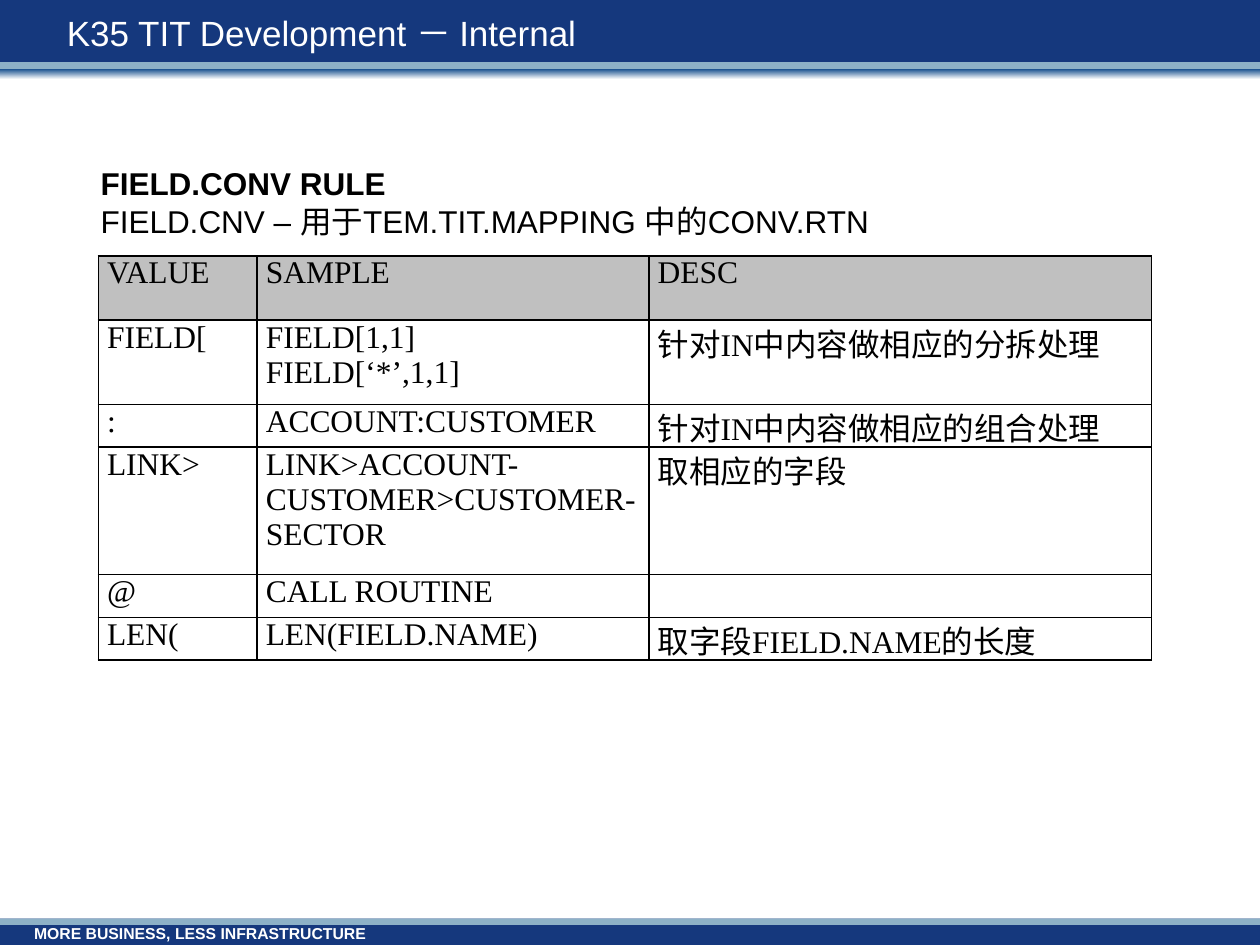
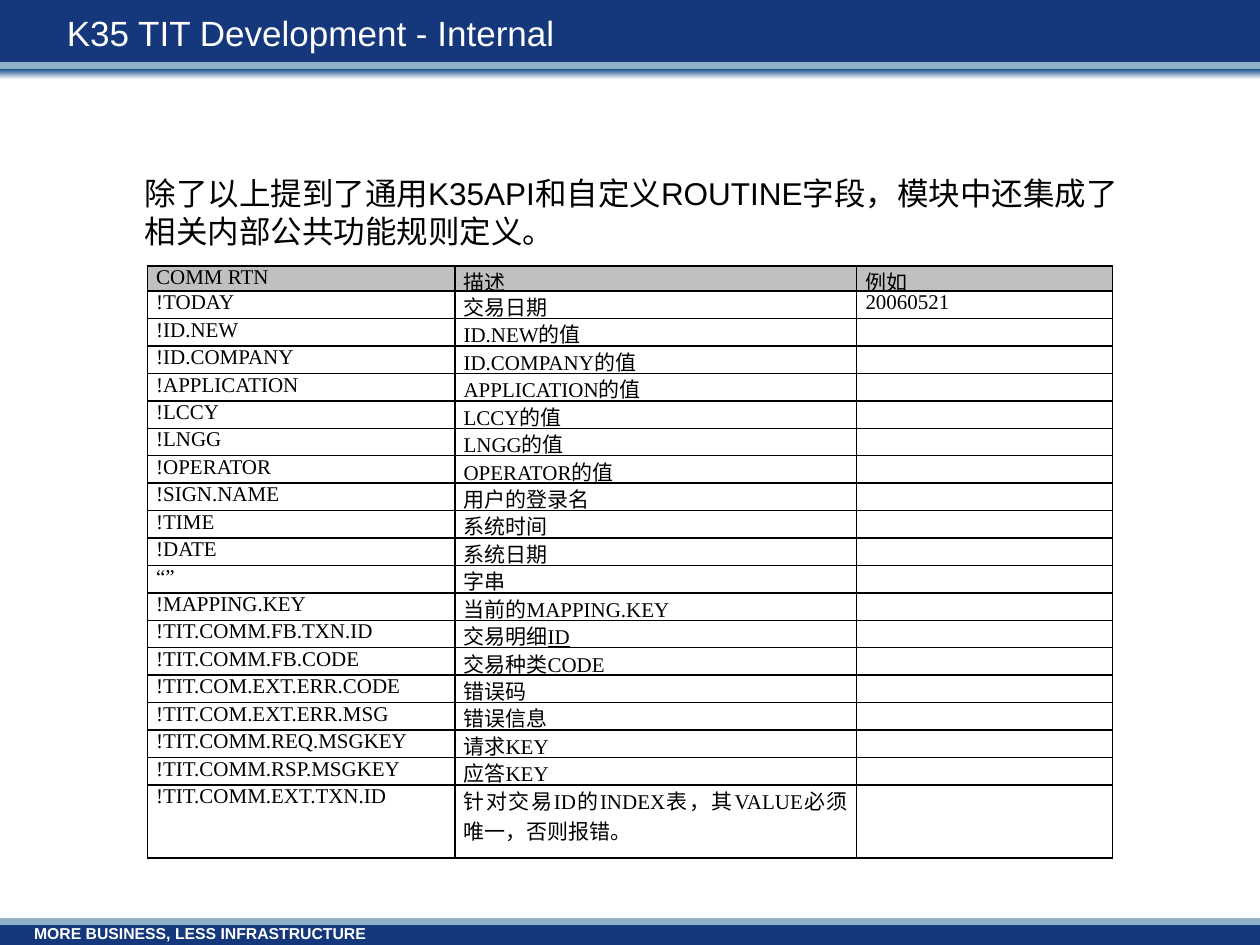
from dataclasses import dataclass

from lxml.etree import SubElement
from pptx import Presentation
from pptx.dml.color import RGBColor
from pptx.enum.shapes import MSO_SHAPE
from pptx.enum.text import MSO_ANCHOR, MSO_AUTO_SIZE, PP_ALIGN
from pptx.oxml.ns import qn
from pptx.util import Inches, Pt


@dataclass(frozen=True)
class Theme:
    navy: str = "15387D"
    steel: str = "8DB1C7"
    blue: str = "1C5390"
    white: str = "FFFFFF"
    black: str = "000000"
    grey: str = "C0C0C0"
    sans: str = "Arial"
    serif: str = "Times New Roman"
    title: int = 20
    body: int = 18
    small: int = 12
    footer: int = 9


T = Theme()
NO_MARGIN = dict.fromkeys(("margin_left", "margin_top", "margin_right", "margin_bottom"), 0)
CELL_MARGIN = dict(NO_MARGIN, margin_left=Inches(0.07), margin_right=Inches(0.07))

FIELD_RULES = [
    ("VALUE", "SAMPLE", "DESC"),
    ("FIELD[", "FIELD[1,1]\nFIELD[‘*’,1,1]", "针对IN中内容做相应的分拆处理"),
    (":", "ACCOUNT:CUSTOMER", "针对IN中内容做相应的组合处理"),
    ("LINK>", "LINK>ACCOUNT-CUSTOMER>CUSTOMER-SECTOR", "取相应的字段"),
    ("@", "CALL ROUTINE", ""),
    ("LEN(", "LEN(FIELD.NAME)", "取字段FIELD.NAME的长度"),
]
UNDERLINED = "交易明细ID"
COMMON_ROUTINES = [
    ("COMM RTN", "描述", "例如"),
    ("!TODAY", "交易日期", "20060521"),
    *((f"!{name}", f"{name}的值", "")
      for name in ("ID.NEW", "ID.COMPANY", "APPLICATION", "LCCY", "LNGG", "OPERATOR")),
    ("!SIGN.NAME", "用户的登录名", ""),
    ("!TIME", "系统时间", ""),
    ("!DATE", "系统日期", ""),
    ("“”", "字串", ""),
    ("!MAPPING.KEY", "当前的MAPPING.KEY", ""),
    ("!TIT.COMM.FB.TXN.ID", UNDERLINED, ""),
    ("!TIT.COMM.FB.CODE", "交易种类CODE", ""),
    ("!TIT.COM.EXT.ERR.CODE", "错误码", ""),
    ("!TIT.COM.EXT.ERR.MSG", "错误信息", ""),
    ("!TIT.COMM.REQ.MSGKEY", "请求KEY", ""),
    ("!TIT.COMM.RSP.MSGKEY", "应答KEY", ""),
    ("!TIT.COMM.EXT.TXN.ID", "针对交易ID的INDEX表，其VALUE必须唯一，否则报错。", ""),
]


def rgb(color):
    return RGBColor.from_string(color)


def apply(target, values):
    for name, value in values.items():
        setattr(target, name, value)


def write(p, text, size, color=T.black, font=T.sans, **values):
    r = p.add_run()
    r.text = text
    apply(r.font, dict(values, name=font, size=Pt(size)))
    r.font.color.rgb = rgb(color)


def add_band(s, top, height, color, fade=None, line=None):
    sp = s.shapes.add_shape(MSO_SHAPE.RECTANGLE, 0, Inches(top), Inches(10), Inches(height))
    sp.shadow.inherit = False
    if fade:
        sp.fill.gradient()
        sp.fill.gradient_angle = 270
        for stop, shade in zip(sp.fill.gradient_stops, (color, fade)):
            stop.color.rgb = rgb(shade)
    else:
        sp.fill.solid()
        sp.fill.fore_color.rgb = rgb(color)
    if line:
        sp.line.color.rgb = rgb(line)
        sp.line.width = Pt(0.75)
    else:
        sp.line.fill.background()
    return sp


def add_text_box(s, box, **values):
    sp = s.shapes.add_textbox(*map(Inches, box))
    apply(sp.text_frame, dict(values, word_wrap=True))
    return sp


def add_frame(s, layout):
    footer = add_text_box(s, (0.27, 7.28, 7.01, 0.26),
                          vertical_anchor=MSO_ANCHOR.MIDDLE, **NO_MARGIN)
    write(footer.text_frame.paragraphs[0], "MORE BUSINESS, LESS INFRASTRUCTURE",
          T.footer, T.white, bold=True)
    parts = [
        add_band(s, 0, 0.5, T.navy),
        add_band(s, 0.5, 0.08, T.steel, line=T.steel),
        add_band(s, 0.55, 0.08, T.blue, fade=T.white),
        add_band(s, 7.29, 0.21, T.navy),
        add_band(s, 7.29, 0.05, T.steel),
        footer,
    ]
    for sp in parts:
        layout.shapes.element.append(sp.element)


def set_title(s, text):
    sp = s.shapes.title
    apply(sp, dict(left=Inches(0.43), top=Inches(0.08), width=Inches(7.83), height=Inches(0.36)))
    tf = sp.text_frame
    apply(tf, dict(vertical_anchor=MSO_ANCHOR.MIDDLE, auto_size=MSO_AUTO_SIZE.NONE))
    p = tf.paragraphs[0]
    p.alignment = PP_ALIGN.LEFT
    write(p, text, T.title, T.white)


def add_borders(cell):
    tcPr = cell._tc.get_or_add_tcPr()
    for i, side in enumerate(("lnL", "lnR", "lnT", "lnB")):
        ln = SubElement(tcPr, qn(f"a:{side}"), w=str(Pt(1)))
        SubElement(SubElement(ln, qn("a:solidFill")), qn("a:srgbClr"), val=T.black)
        tcPr.insert(i, ln)


def fill_cell(cell, text, size, header):
    apply(cell, CELL_MARGIN)
    if header:
        cell.fill.solid()
        cell.fill.fore_color.rgb = rgb(T.grey)
    else:
        cell.fill.background()
    add_borders(cell)
    tf = cell.text_frame
    for i, line in enumerate(text.split("\n")):
        p = tf.add_paragraph() if i else tf.paragraphs[0]
        p.alignment = PP_ALIGN.JUSTIFY
        if line:
            write(p, line, size, font=T.serif, underline=line == UNDERLINED)
        else:
            p._p.get_or_add_endParaRPr().set("sz", str(size * 100))


def add_grid(s, left, top, widths, heights, rows, size):
    box = (left, top, sum(widths), sum(heights))
    tb = s.shapes.add_table(len(rows), len(widths), *map(Inches, box)).table
    apply(tb, dict(first_row=False, horz_banding=False))
    for col, width in zip(tb.columns, widths):
        col.width = Inches(width)
    for i, (row, height) in enumerate(zip(tb.rows, heights)):
        row.height = Inches(height)
        for cell, text in zip(row.cells, rows[i]):
            fill_cell(cell, text, size, header=i == 0)


def add_field_rules(s):
    set_title(s, "K35 TIT Development － Internal")
    tf = add_text_box(s, (0.7, 0.94, 8.59, 1.01),
                      vertical_anchor=MSO_ANCHOR.BOTTOM).text_frame
    write(tf.paragraphs[0], "FIELD.CONV RULE", T.body, bold=True)
    write(tf.add_paragraph(), "FIELD.CNV – 用于TEM.TIT.MAPPING 中的CONV.RTN", T.body)
    add_grid(s, 0.78, 2.03, (1.26, 3.11, 3.99), (0.51, 0.67, 0.34, 1.01, 0.34, 0.34),
             FIELD_RULES, T.body)


def add_common_routines(s):
    set_title(s, "K35 TIT Development - Internal")
    tf = add_text_box(s, (1.05, 1.33, 8.09, 0.71)).text_frame
    write(tf.paragraphs[0],
          "除了以上提到了通用K35API和自定义ROUTINE字段，模块中还集成了相关内部公共功能规则定义。",
          T.body)
    first, last, total = 0.19, 0.58, 4.69
    between = len(COMMON_ROUTINES) - 2
    heights = [first, *[(total - first - last) / between] * between, last]
    add_grid(s, 1.17, 2.11, (2.44, 3.19, 2.03), heights, COMMON_ROUTINES, T.small)


def main():
    prs = Presentation()
    apply(prs, dict(slide_width=Inches(10), slide_height=Inches(7.5)))
    layout = prs.slide_layouts[5]
    slides = [prs.slides.add_slide(layout) for _ in range(2)]
    add_frame(slides[0], layout)
    for build, s in zip((add_field_rules, add_common_routines), slides):
        build(s)
    prs.save("out.pptx")


if __name__ == "__main__":
    main()
